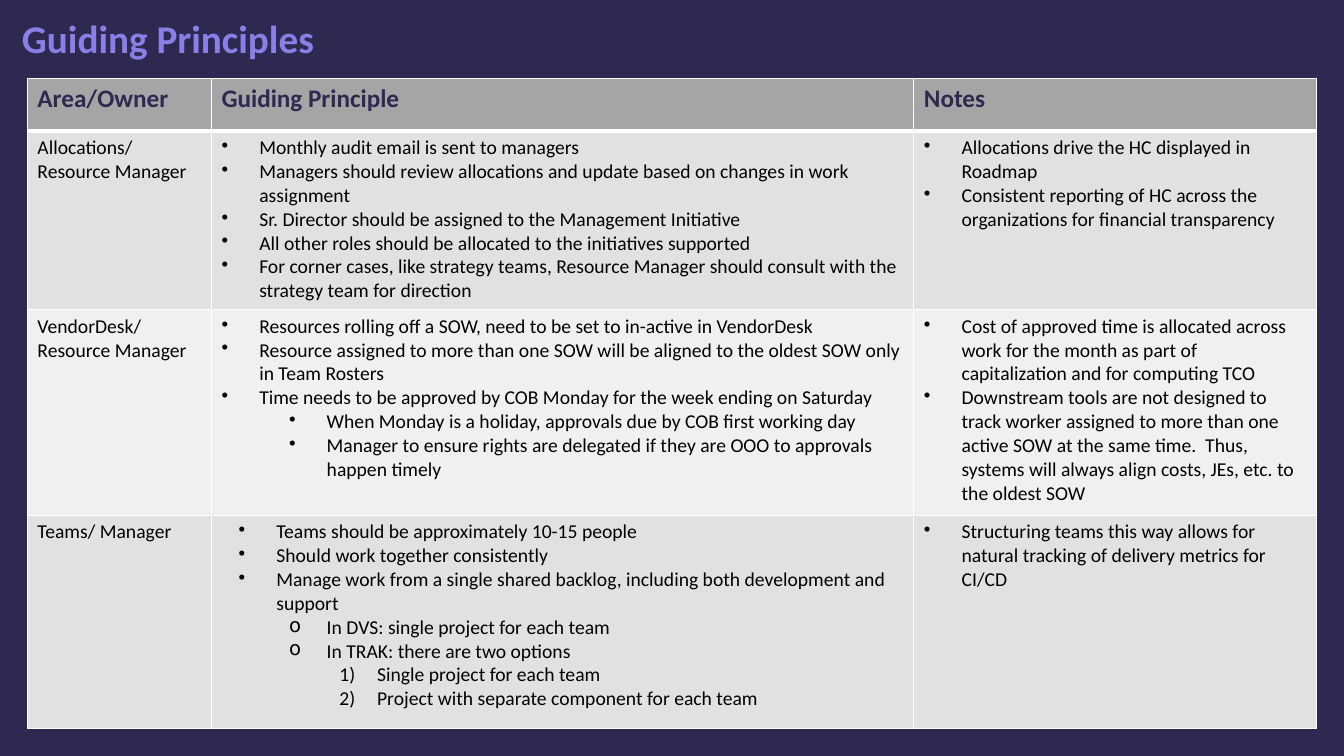
from lxml import etree
from pptx import Presentation
from pptx.dml.color import RGBColor
from pptx.enum import text
from pptx.oxml import ns
from pptx.util import Cm, Pt

NAVY = RGBColor(0x2F, 0x29, 0x51)
VIOLET = RGBColor(0x8D, 0x7E, 0xE7)
BLACK = RGBColor(0, 0, 0)
HEADER_GREY = RGBColor(0xA5, 0xA5, 0xA5)
BANDS = [RGBColor(0xE1, 0xE1, 0xE1), RGBColor(0xF0, 0xF0, 0xF0)]
FONT = "Calibri"
HANG = Cm(0.95)

# List styles: level, left margin, bullet tag and its attributes
DOT = ("a:buChar", {"char": "•"})
LISTS = {
    "dot": (0, Cm(0.95), *DOT),
    "indented dot": (0, Cm(1.38), *DOT),
    "sub dot": (1, Cm(2.65), *DOT),
    "sub circle": (1, Cm(2.65), "a:buChar", {"char": "o"}),
    "number": (2, Cm(3.92), "a:buAutoNum", {"type": "arabicParenR"}),
}

# Table text: each cell is a list of (list style, paragraph)
HEADER = ["Area/Owner", "Guiding Principle", "Notes"]
ROWS = [
    [
        [("", "Allocations/"), ("", "Resource Manager")],
        [("dot", "Monthly audit email is sent to managers"),
         ("dot", "Managers should review allocations and update based on changes in work assignment"),
         ("dot", "Sr. Director should be assigned to the Management Initiative"),
         ("dot", "All other roles should be allocated to the initiatives supported"),
         ("dot", "For corner cases, like strategy teams, Resource Manager should consult "
                 "with the strategy team for direction")],
        [("dot", "Allocations drive the HC displayed in Roadmap"),
         ("dot", "Consistent reporting of HC across the organizations for financial transparency")],
    ],
    [
        [("", "VendorDesk/"), ("", "Resource Manager")],
        [("dot", "Resources rolling off a SOW, need to be set to in-active in VendorDesk"),
         ("dot", "Resource assigned to more than one SOW will be aligned to the oldest SOW "
                 "only in Team Rosters"),
         ("dot", "Time needs to be approved by COB Monday for the week ending on Saturday"),
         ("sub dot", "When Monday is a holiday, approvals due by COB first working day"),
         ("sub dot", "Manager to ensure rights are delegated if they are OOO to approvals happen timely")],
        [("dot", "Cost of approved time is allocated across work for the month as part of "
                 "capitalization and for computing TCO"),
         ("dot", "Downstream tools are not designed to track worker assigned to more than one "
                 "active SOW at the same time.  Thus, systems will always align costs, JEs, "
                 "etc. to the oldest SOW")],
    ],
    [
        [("", "Teams/ Manager")],
        [("indented dot", "Teams should be approximately 10-15 people"),
         ("indented dot", "Should work together consistently"),
         ("indented dot", "Manage work from a single shared backlog, including both "
                          "development and support"),
         ("sub circle", "In DVS: single project for each team"),
         ("sub circle", "In TRAK: there are two options"),
         ("number", "Single project for each team"),
         ("number", "Project with separate component for each team")],
        [("dot", "Structuring teams this way allows for natural tracking of delivery metrics for CI/CD")],
    ],
]


def add_run(p, words, size, color, bold):
    r = p.add_run()
    r.text = words
    r.font.name, r.font.size, r.font.bold = FONT, Pt(size), bold
    r.font.color.rgb = color


def set_borders(cell, widths):
    tc_pr = cell._tc.get_or_add_tcPr()
    for n, (side, width) in enumerate(widths.items()):
        ln = etree.Element(ns.qn(f"a:ln{side}"), w=str(Pt(width)))
        fill = etree.SubElement(ln, ns.qn("a:solidFill"))
        etree.SubElement(fill, ns.qn("a:srgbClr"), val="FFFFFF")
        tc_pr.insert(n, ln)


prs = Presentation()
prs.slide_width, prs.slide_height = Cm(33.87), Cm(19.05)
s = prs.slides.add_slide(prs.slide_layouts[5])
s.background.fill.solid()
s.background.fill.fore_color.rgb = NAVY

# Title
title = s.shapes.title
title.left, title.top, title.width, title.height = Cm(0.3), Cm(0.36), Cm(31.42), Cm(1.98)
tf = title.text_frame
tf.auto_size = text.MSO_AUTO_SIZE.NONE
tf.vertical_anchor = text.MSO_ANCHOR.TOP
p = tf.paragraphs[0]
p.alignment = text.PP_ALIGN.LEFT
p.line_spacing = 0.9
add_run(p, "Guiding Principles", 28, VIOLET, True)

# Table grid
table = s.shapes.add_table(4, 3, Cm(0.69), Cm(1.98), Cm(32.48), Cm(16.38)).table
for column, width in zip(table.columns, (4.64, 17.7, 10.14)):
    column.width = Cm(width)
for row, height in zip(table.rows, (1.32, 4.5, 5.18, 5.38)):
    row.height = Cm(height)

# Table cells
for i, row in enumerate([[[("", name)] for name in HEADER]] + ROWS):
    for j, paragraphs in enumerate(row):
        cell = table.cell(i, j)
        cell.fill.solid()
        cell.fill.fore_color.rgb = BANDS[(i - 1) % 2] if i else HEADER_GREY
        set_borders(cell, {"L": 1, "R": 1, "T": 3 if i == 1 else 1, "B": 1 if i else 3})
        tf = cell.text_frame
        for n, (style, words) in enumerate(paragraphs):
            p = tf.add_paragraph() if n else tf.paragraphs[0]
            if style:
                level, margin, tag, attributes = LISTS[style]
                p.level = level
                p_pr = p._p.get_or_add_pPr()
                p_pr.set("marL", str(margin))
                p_pr.set("indent", str(-HANG))
                etree.SubElement(p_pr, ns.qn(tag), attributes)
            if i:
                add_run(p, words, 14, BLACK, False)
            else:
                add_run(p, words, 18, NAVY, True)

prs.save("out.pptx")
